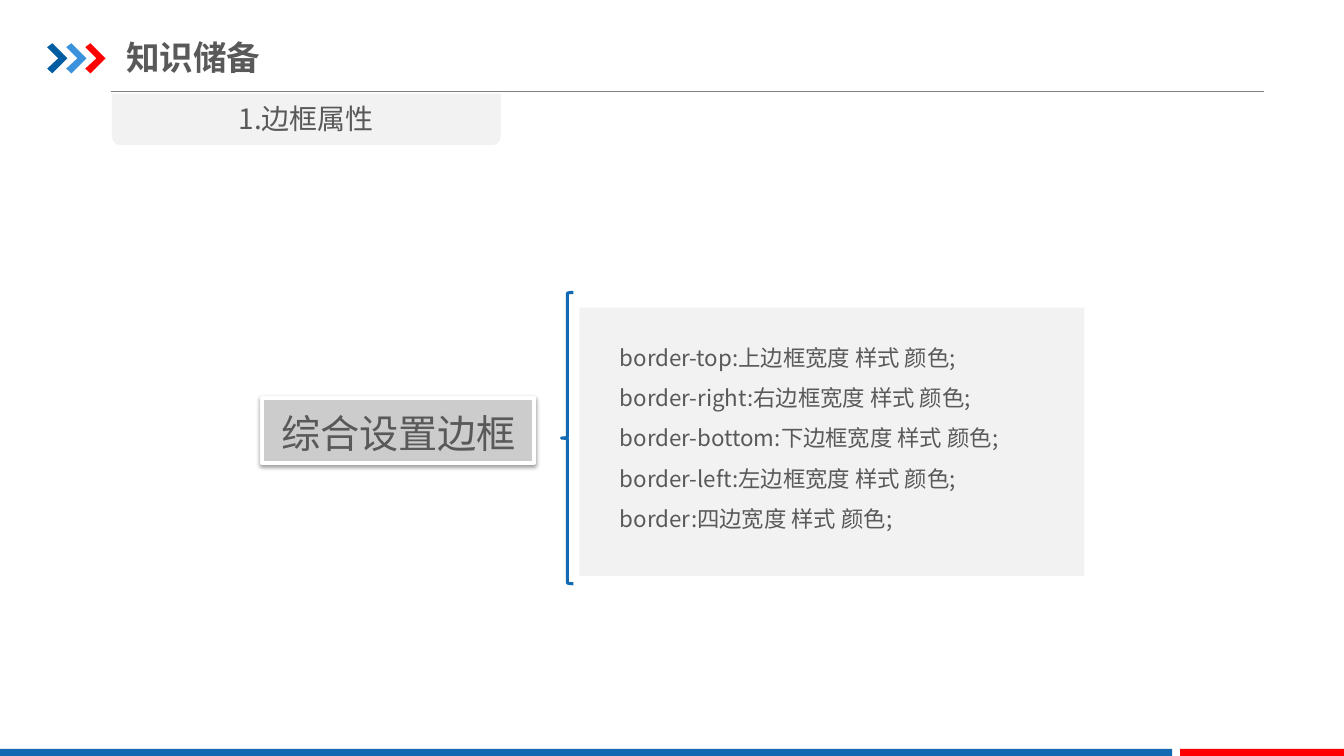
from lxml.etree import SubElement
from pptx import Presentation
from pptx.dml.color import RGBColor
from pptx.enum.shapes import MSO_CONNECTOR, MSO_SHAPE
from pptx.enum.text import MSO_ANCHOR, MSO_AUTO_SIZE, PP_ALIGN
from pptx.oxml.ns import qn
from pptx.util import Cm, Pt

FONT = "Noto Sans CJK SC"
NAVY = RGBColor(0x00, 0x5D, 0xA2)
SKY = RGBColor(0x39, 0x92, 0xDB)
BLUE = RGBColor(0x13, 0x69, 0xB2)
RED = RGBColor(0xFF, 0x00, 0x00)
WHITE = RGBColor(0xFF, 0xFF, 0xFF)
PALE = RGBColor(0xF2, 0xF2, 0xF2)
SILVER = RGBColor(0xCC, 0xCC, 0xCC)
GREY = RGBColor(0x80, 0x80, 0x80)
TEXT = RGBColor(0x59, 0x59, 0x59)

BORDER_RULES = [
    "border-top:上边框宽度 样式 颜色;",
    "border-right:右边框宽度 样式 颜色;",
    "border-bottom:下边框宽度 样式 颜色;",
    "border-left:左边框宽度 样式 颜色;",
    "border:四边宽度 样式 颜色;",
]


def place(shape, box):
    shape.left, shape.top, shape.width, shape.height = (Cm(v) for v in box)


def write(shape, lines, size, bold=False, align=PP_ALIGN.LEFT, spacing=1.0,
          anchor=MSO_ANCHOR.TOP, side_inset=0.25, wrap=True):
    """Fill a box or placeholder with unbulleted paragraphs."""
    frame = shape.text_frame
    frame.text = "\n".join(lines)
    frame.word_wrap = wrap
    frame.auto_size = MSO_AUTO_SIZE.NONE
    frame.vertical_anchor = anchor
    frame.margin_left = frame.margin_right = Cm(side_inset)
    frame.margin_top = frame.margin_bottom = Cm(0.13)
    for paragraph in frame.paragraphs:
        properties = paragraph._p.get_or_add_pPr()
        properties.set("marL", "0")
        properties.set("indent", "0")
        SubElement(properties, qn("a:buNone"))
        paragraph.alignment = align
        paragraph.line_spacing = spacing
        paragraph.space_before = Pt(0)
        for run in paragraph.runs:
            run.font.name = FONT
            run.font.size = Pt(size)
            run.font.bold = bold
            run.font.color.rgb = TEXT
            SubElement(run.font._element, qn("a:ea"), typeface=FONT)


def add_label(slide, box, text, size):
    label = slide.shapes.add_textbox(*(Cm(v) for v in box))
    write(label, [text], size, align=PP_ALIGN.CENTER)


def paint(shape, fill=None, line=None, width=1):
    if fill is None:
        shape.fill.background()
    else:
        shape.fill.solid()
        shape.fill.fore_color.rgb = fill
    if line is None:
        shape.line.fill.background()
    else:
        shape.line.color.rgb = line
        shape.line.width = Pt(width)
    shape.shadow.inherit = False


def add_panel(slide, kind, box, **colours):
    panel = slide.shapes.add_shape(kind, *(Cm(v) for v in box))
    paint(panel, **colours)
    return panel


def add_soft_shadow(shape):
    effects = shape._element.spPr.find(qn("a:effectLst"))
    shadow = SubElement(effects, qn("a:outerShdw"), blurRad=str(Pt(3.1)),
                        dist=str(Pt(1.6)), dir="5400000", rotWithShape="0")
    colour = SubElement(shadow, qn("a:srgbClr"), val="000000")
    SubElement(colour, qn("a:alpha"), val="38000")


def add_chevron(slide, left, colour):
    """Draw one header chevron; coordinates are hundredths of a centimetre."""
    outline = [(13, 109), (51, 147), (13, 185), (0, 173), (28, 147)]
    builder = slide.shapes.build_freeform(left, 119, scale=Cm(0.01))
    builder.add_line_segments([(left + x, y) for x, y in outline], close=True)
    paint(builder.convert_to_shape(), fill=colour)


def add_rule(slide, left, right, top):
    rule = slide.shapes.add_connector(
        MSO_CONNECTOR.STRAIGHT, Cm(left), Cm(top), Cm(right), Cm(top))
    rule.line.color.rgb = GREY
    rule.line.width = Pt(0.75)
    SubElement(rule._element.spPr, qn("a:effectLst"))


def main():
    deck = Presentation()
    deck.slide_width, deck.slide_height = Cm(33.87), Cm(19.05)
    slide = deck.slides.add_slide(deck.slide_layouts[1])
    heading, rules = slide.placeholders

    # Header
    add_rule(slide, 2.79, 31.85, 2.31)
    for index, colour in enumerate((NAVY, SKY, RED)):
        add_chevron(slide, 119 + 48 * index, colour)
    place(heading, (3.18, 0.74, 10.82, 1.4))
    write(heading, ["知识储备"], 24, bold=True, anchor=MSO_ANCHOR.MIDDLE,
          side_inset=0)

    # Footer bars
    add_panel(slide, MSO_SHAPE.RECTANGLE, (0, 18.87, 29.54, 0.22), fill=BLUE)
    add_panel(slide, MSO_SHAPE.RECTANGLE, (29.74, 18.87, 4.13, 0.22), fill=RED)

    # Section tab
    tab = add_panel(slide, MSO_SHAPE.ROUND_2_SAME_RECTANGLE,
                    (2.82, 2.36, 9.8, 1.3), fill=PALE)
    tab.rotation = 180
    add_label(slide, (2.82, 2.44, 9.8, 1.12), "1.边框属性", 20)

    # Topic and brace
    topic = add_panel(slide, MSO_SHAPE.RECTANGLE, (6.6, 10.03, 6.86, 1.63),
                      fill=SILVER, line=WHITE, width=3)
    add_soft_shadow(topic)
    add_label(slide, (6.63, 10.19, 6.83, 1.45), "综合设置边框", 28)
    brace = add_panel(slide, MSO_SHAPE.LEFT_BRACE, (14.15, 7.37, 0.3, 7.34),
                      line=BLUE, width=2.25)
    brace.adjustments[0] = 0.08

    # Border rules, raised above their panel
    add_panel(slide, MSO_SHAPE.RECTANGLE, (14.6, 7.75, 12.73, 6.76), fill=PALE)
    place(rules, (15.37, 8.2, 10.36, 5.26))
    write(rules, BORDER_RULES, 16, spacing=1.5, wrap=False)
    slide.shapes._spTree.append(rules._element)

    deck.save("out.pptx")


if __name__ == "__main__":
    main()
